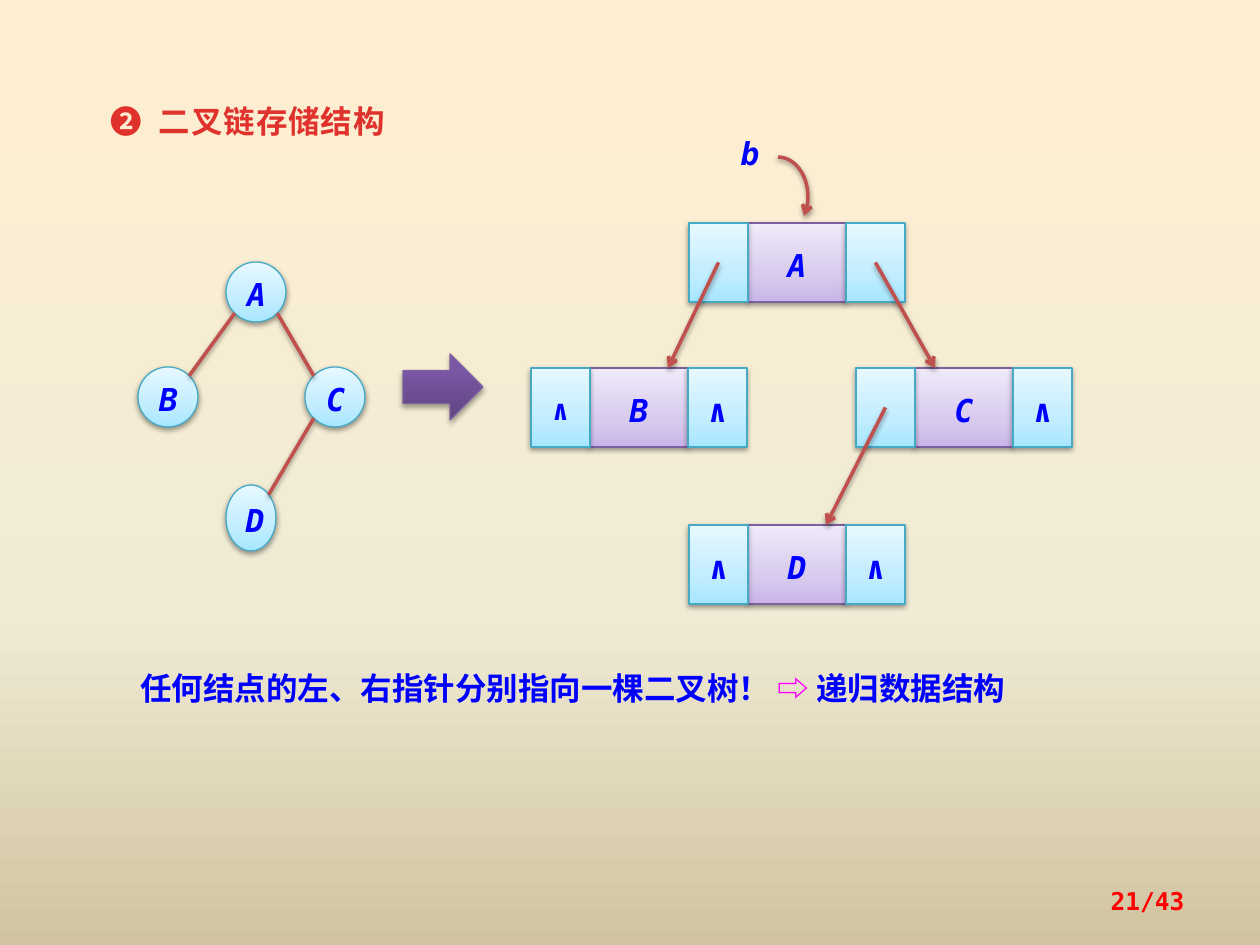
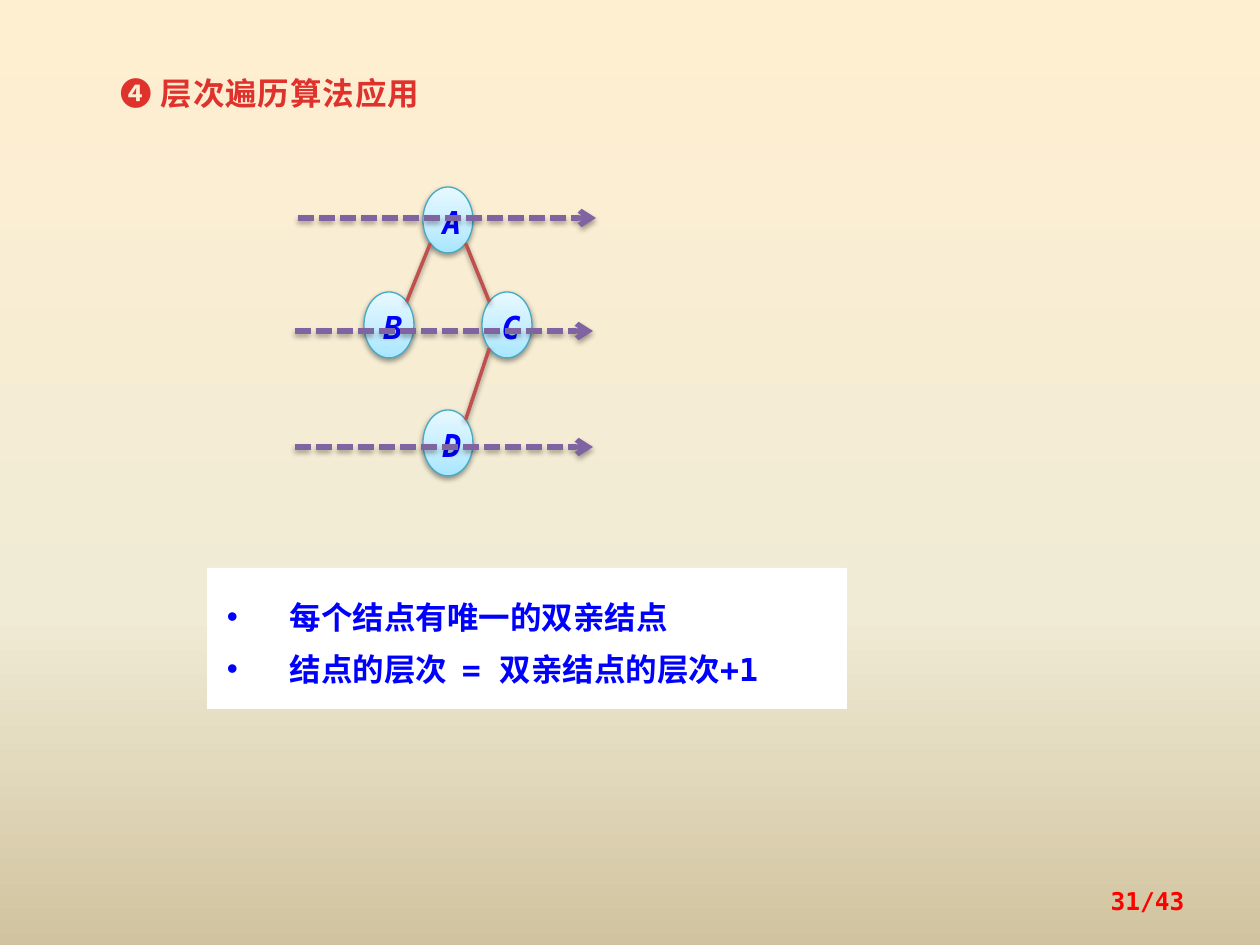
from lxml import etree
from pptx import Presentation
from pptx import util as u
from pptx.dml.color import RGBColor
from pptx.enum import dml, shapes, text
from pptx.oxml.ns import qn

SCALE = 914400 / 126
MONO, CJK = "DejaVu Sans Mono", "Noto Sans CJK SC"
BLUE, RED, MAGENTA, WHITE = "0000FF", "FF0000", "FF00FF", "FFFFFF"
EDGE, LEVEL, AQUA_LINE, PURPLE_LINE = "C0504D", "8064A2", "46AAC5", "7D60A0"
PAPER = [(0, "FFEFD1"), (65, "F0EBD5"), (100, "D1C39F")]
TITLE = [(25, "E0322D"), (100, "A2201C")]
AQUA = [(0, "A7E6FF"), (35, "C1EDFF"), (100, "E7F8FF")]
LILAC = [(0, "C9B5E8"), (35, "D8CBEE"), (100, "F0EAF9")]
VIOLET = [(0, "5F4480"), (80, "7B58A6"), (100, "7C57A8")]
SOFT, DEEP = (38, 1.6), (35, 1.8)
OVAL, RECT = shapes.MSO_SHAPE.OVAL, shapes.MSO_SHAPE.RECTANGLE
LEFT, CENTER, RIGHT = text.PP_ALIGN.LEFT, text.PP_ALIGN.CENTER, text.PP_ALIGN.RIGHT
CELL_W, DATA_W, CELL_H = 59, 98, 79
NULL = "∧"


def px(*values):
    return [u.Emu(round(v * SCALE)) for v in values]


def color(hex_value):
    return RGBColor.from_string(hex_value)


def sub(parent, tag, **attrs):
    return etree.SubElement(parent, qn(tag), {k: str(v) for k, v in attrs.items()})


def gradient(parent, stops, angle):
    fill = sub(parent, "a:gradFill", rotWithShape=1)
    gs_list = sub(fill, "a:gsLst")
    for pos, value in stops:
        sub(sub(gs_list, "a:gs", pos=pos * 1000), "a:srgbClr", val=value)
    sub(fill, "a:lin", ang=angle * 60000, scaled=0)
    return fill


def shadow(s, kind):
    alpha, dist = kind
    effects = sub(s._element.spPr, "a:effectLst")
    outer = sub(effects, "a:outerShdw", blurRad=u.Pt(3.1), dist=u.Pt(dist),
                dir=5400000, rotWithShape=0)
    sub(sub(outer, "a:srgbClr", val="000000"), "a:alpha", val=alpha * 1000)


def outline(s, value, width):
    s.line.color.rgb = color(value)
    s.line.width = u.Pt(width)


def arrowhead(s):
    sub(s._element.spPr.get_or_add_ln(), "a:tailEnd", type="arrow")


def style_run(r, size=18, value=BLUE, italic=False, font=MONO):
    r.font.size, r.font.bold, r.font.italic = u.Pt(size), True, italic
    r.font.name = font
    r.font.color.rgb = color(value)
    r.font._element.find(qn("a:latin")).addnext(
        etree.Element(qn("a:ea"), {"typeface": CJK}))


def style_paragraph(p, spacing, align=LEFT):
    p.alignment, p.line_spacing, p.space_before = align, spacing, u.Pt(0)


def add_block(sp, kind, box, stops, line, kind_shadow=SOFT, label="", size=18):
    s = sp.add_shape(kind, *px(*box))
    gradient(s._element.spPr, stops, 270)
    outline(s, line, 0.75)
    shadow(s, kind_shadow)
    if label:
        p = s.text_frame.paragraphs[0]
        p.text = label
        style_paragraph(p, 1.1, CENTER)
        style_run(p.runs[0], size, italic=label != NULL)
    return s


def add_line(sp, start, end, value=EDGE, width=2, kind_shadow=SOFT, arrow=False, dash=None):
    s = sp.add_connector(shapes.MSO_CONNECTOR.STRAIGHT, *px(*start, *end))
    outline(s, value, width)
    if dash:
        s.line.dash_style = dash
    if arrow:
        arrowhead(s)
    shadow(s, kind_shadow)


def add_text(sp, box, runs, spacing=1.0, align=LEFT, size=18, italic=False):
    s = sp.add_textbox(*px(*box))
    tf = s.text_frame
    tf.word_wrap = True
    p = tf.paragraphs[0]
    style_paragraph(p, spacing, align)
    for words, value in runs:
        r = p.add_run()
        r.text = words
        style_run(r, size, value, italic)
    return s


def place(s, box):
    s.left, s.top, s.width, s.height = px(*box)
    tf = s.text_frame
    tf.word_wrap, tf.auto_size = True, text.MSO_AUTO_SIZE.NONE
    tf.vertical_anchor = text.MSO_ANCHOR.TOP
    return tf


def add_slide(prs, layout, title, box, page, spacing, font=MONO):
    slide = prs.slides.add_slide(prs.slide_layouts[layout])
    p = place(slide.shapes.title, box).paragraphs[0]
    p.text = title
    style_paragraph(p, spacing)
    r = p.runs[0]
    style_run(r, font=font)
    rPr = r.font._element
    rPr.set("spc", "50")
    rPr.replace(rPr.find(qn("a:solidFill")), gradient(rPr, TITLE, 90))
    number = add_text(slide.shapes, (903, 876, 294, 50), [(f"{page}/43", RED)],
                      align=RIGHT, size=14)
    number.text_frame.vertical_anchor = text.MSO_ANCHOR.MIDDLE
    return slide


def add_tree(slide, x, y, nodes):
    sp = slide.shapes.add_group_shape().shapes
    for name, (dx, dy, w, h) in nodes.items():
        add_block(sp, OVAL, (x + dx, y + dy, w, h), AQUA, AQUA_LINE, label=name)

    def rim(name, side, down):
        dx, dy, w, h = nodes[name]
        reach = 0.5 ** 0.5 / 2
        return (x + dx + w * (0.5 + side * reach), y + dy + h * (0.5 + down * reach))

    for parent, child, side in (("A", "B", -1), ("A", "C", 1), ("C", "D", -1)):
        add_line(sp, rim(parent, side, 1), rim(child, -side, -1))


def add_record(sp, x, y, name, left, right, left_size=18):
    add_block(sp, RECT, (x + CELL_W, y, DATA_W, CELL_H), LILAC, PURPLE_LINE, label=name)
    add_block(sp, RECT, (x + CELL_W + DATA_W, y, CELL_W, CELL_H), AQUA, AQUA_LINE, label=right)
    add_block(sp, RECT, (x, y, CELL_W, CELL_H), AQUA, AQUA_LINE, label=left, size=left_size)


def add_linked_records(slide, x, y):
    sp = slide.shapes.add_group_shape().shapes
    spots = {"A": (x + 158, y), "B": (x, y + 145), "C": (x + 325, y + 145), "D": (x + 158, y + 302)}
    add_record(sp, *spots["A"], "A", "", "")
    arc = sp.add_shape(shapes.MSO_SHAPE.ARC, *px(x + 217, y - 66, 60, 79))
    arc.adjustments[0], arc.adjustments[1] = 162, 21.94
    arc.fill.background()
    outline(arc, EDGE, 2)
    arrowhead(arc)
    shadow(arc, SOFT)
    add_text(sp, (x + 197, y - 92, 69, 48), [("b", BLUE)], u.Pt(20), italic=True)
    add_record(sp, *spots["B"], "B", NULL, NULL, left_size=16)
    add_record(sp, *spots["C"], "C", "", NULL)
    add_record(sp, *spots["D"], "D", NULL, NULL)
    for parent, child, right in (("A", "B", False), ("A", "C", True), ("C", "D", False)):
        (px0, py0), (cx, cy) = spots[parent], spots[child]
        start = px0 + CELL_W / 2 + (CELL_W + DATA_W if right else 0)
        end = cx + CELL_W + (20 if right else DATA_W - 20)
        add_line(sp, (start, py0 + CELL_H / 2), (end, cy), arrow=True)


def add_levels(slide, x, y):
    for dx, dy in ((3, 0), (0, 113), (0, 229)):
        add_line(slide.shapes, (x + dx, y + dy), (x + dx + 298, y + dy), LEVEL, 3, DEEP,
                 arrow=True, dash=dml.MSO_LINE.SQUARE_DOT)


def add_list(slide, box, items):
    s = slide.placeholders[1]
    tf = place(s, box)
    s.fill.solid()
    s.fill.fore_color.rgb = color(WHITE)
    tf.margin_left, tf.margin_top, tf.margin_right, tf.margin_bottom = px(20, 15, 13, 20)
    tf.text = "\n".join(items)
    for p in tf.paragraphs:
        style_paragraph(p, u.Pt(30))
        style_run(p.runs[0])
        pPr = p._p.get_or_add_pPr()
        pPr.set("marL", "457200")
        pPr.set("indent", "-457200")
        sub(pPr, "a:buFont", typeface="Arial")
        sub(pPr, "a:buChar", char="•")


def storage_slide(prs):
    slide = add_slide(prs, 5, "❷  二叉链存储结构", (98, 92, 452, 52), 21, 1.1)
    add_tree(slide, 138, 262, {
        "B": (0, 105, 60, 60), "A": (88, 0, 60, 60),
        "C": (167, 105, 60, 60), "D": (88, 223, 50, 66)})
    add_linked_records(slide, 531, 223)
    add_block(slide.shapes, shapes.MSO_SHAPE.RIGHT_ARROW, (403, 354, 80, 66),
              VIOLET, PURPLE_LINE, DEEP)
    add_text(slide.shapes, (128, 648, 984, 66),
             [("任何结点的左、右指针分别指向一棵二叉树！ ", BLUE), ("⇨", MAGENTA),
              (" 递归数据结构", BLUE)], u.Pt(30))


def traversal_slide(prs):
    slide = add_slide(prs, 1, "❹ 层次遍历算法应用", (108, 53, 462, 60), 31, u.Pt(30), CJK)
    add_tree(slide, 364, 187, {
        "B": (0, 105, 50, 66), "A": (59, 0, 50, 66),
        "C": (118, 105, 50, 66), "D": (59, 223, 50, 66)})
    add_levels(slide, 295, 218)
    add_list(slide, (207, 568, 640, 141),
             ["每个结点有唯一的双亲结点", "结点的层次  = 双亲结点的层次+1"])


prs = Presentation()
prs.slide_width, prs.slide_height = px(1260, 945)
bgPr = prs.slide_master._element.cSld.get_or_add_bgPr()
bgPr.replace(bgPr[0], gradient(bgPr, PAPER, 90))
storage_slide(prs)
traversal_slide(prs)
prs.save("out.pptx")
